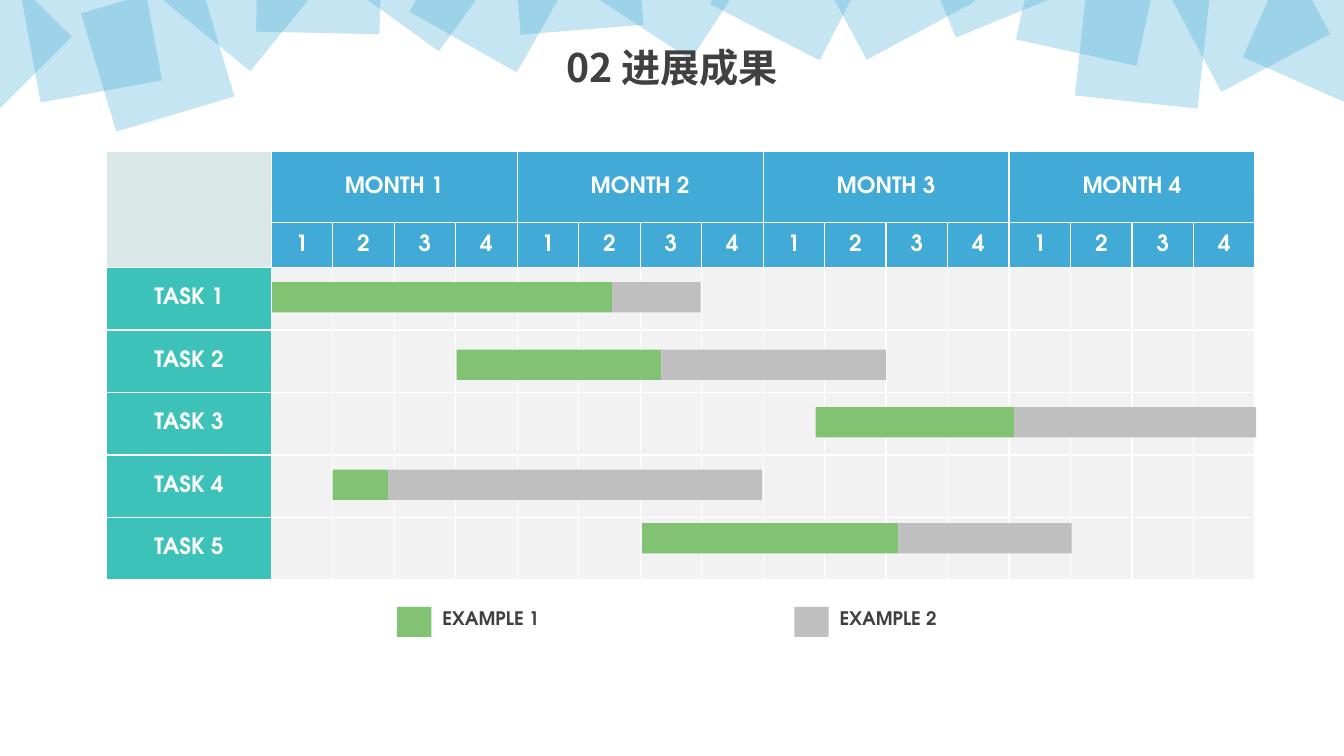
"""Build a four-month progress slide with a task schedule."""
import lxml.etree
import pptx
import pptx.dml.color
import pptx.enum.shapes
import pptx.enum.text
import pptx.oxml.ns
import pptx.util

TITLE = "02 进展成果"
MONTHS = ["MONTH 1", "MONTH 2", "MONTH 3", "MONTH 4"]
WEEKS = ["1", "2", "3", "4"]
TASKS = [
    ("TASK 1", 280, 270, 607, 695),
    ("TASK 2", 347, 453, 656, 879),
    ("TASK 3", 404, 809, 1006, 1246),
    ("TASK 4", 466, 330, 385, 756),
    ("TASK 5", 519, 637, 891, 1063),
]
BLUE, TEAL, PALE, CELL = "41AAD7", "3CC2B8", "DAE8E7", "F2F2F2"
GREEN, GREY, DARK, WHITE = "81C373", "BFBFBF", "404040", "FFFFFF"
LEGEND = [("EXAMPLE 1", 394, GREEN), ("EXAMPLE 2", 788, GREY)]
TILES = [
    (70, -32, 28.4), (3, -56, 304.6), (153, -102, 354.2), (-102, -50, 270),
    (403, -98, 74.5), (335, -121, 350.8), (486, -118, 40.4), (230, -115, 316.2),
    (1047, -46, 51.1), (994, -94, 327.4), (1150, -78, 16.9), (895, -129, 292.7),
    (1227, -61, 338.9), (798, -110, 286.7), (700, -109, 252.1), (581, -112, 258.2),
]
TILE, BAR = 173, 30
LEFT, TOP, SIDE, WEEK = 106, 150, 163, 61
ROWS = [71, 42] + [62] * len(TASKS)
LATIN, CJK = "TeX Gyre Adventor", "Noto Sans CJK SC"
SCALE = 9144

qn = pptx.oxml.ns.qn
Pt = pptx.util.Pt
KIND = pptx.enum.shapes.MSO_SHAPE
ALIGN = pptx.enum.text.PP_ALIGN
ANCHOR = pptx.enum.text.MSO_ANCHOR
FIT = pptx.enum.text.MSO_AUTO_SIZE


def px(*nums):
    return [pptx.util.Emu(num * SCALE) for num in nums]


def rgb(code):
    return pptx.dml.color.RGBColor.from_string(code)


def paint(item, code):
    item.fill.solid()
    item.fill.fore_color.rgb = rgb(code)


def write(frame, text, size, code, face=LATIN, align=None):
    frame.text = text
    para = frame.paragraphs[0]
    para.alignment = align
    font = para.runs[0].font
    font.size, font.bold, font.name = Pt(size), True, face
    font.color.rgb = rgb(code)
    return para


def shape(slide, kind, box, code):
    item = slide.shapes.add_shape(kind, *px(*box))
    item.shadow.inherit = False
    item.line.fill.background()
    paint(item, code)
    return item


def tiles(slide):
    for x, y, turn in TILES:
        item = shape(slide, KIND.DIAMOND, (x, y, TILE, TILE), BLUE)
        item.rotation = turn
        tint = item._element.spPr.find(".//" + qn("a:srgbClr"))
        lxml.etree.SubElement(tint, qn("a:alpha"), val="30000")


def heading(slide):
    title = slide.shapes.title
    slide.shapes._spTree.append(title._element)
    title.left, title.top, title.width, title.height = px(472, 45, 389, 48)
    frame = title.text_frame
    frame.auto_size = FIT.NONE
    frame.vertical_anchor = ANCHOR.MIDDLE
    para = write(frame, TITLE, 28, DARK, CJK, ALIGN.CENTER)
    para.line_spacing, para.space_before = 0.9, Pt(10)
    props = para.runs[0].font._element
    lxml.etree.SubElement(props, qn("a:ea"), typeface=CJK)


def edges(cell):
    props = cell._tc.get_or_add_tcPr()
    for spot, side in enumerate(["lnL", "lnR", "lnT", "lnB"]):
        line = lxml.etree.Element(qn("a:" + side), w=str(Pt(1)))
        fill = lxml.etree.SubElement(line, qn("a:solidFill"))
        lxml.etree.SubElement(fill, qn("a:srgbClr"), val=WHITE)
        props.insert(spot, line)


def style(cell, text, code):
    paint(cell, code)
    edges(cell)
    cell.vertical_anchor = ANCHOR.MIDDLE
    cell.margin_left, cell.margin_right = px(13, 13)
    cell.margin_top, cell.margin_bottom = px(7, 7)
    if text:
        write(cell.text_frame, text, 16, WHITE, align=ALIGN.CENTER)


def grid(slide):
    span = len(WEEKS)
    count = len(MONTHS) * span
    wide = [SIDE] + [WEEK] * count
    months = [part for name in MONTHS for part in [name] + [""] * (span - 1)]
    lines = [[("", PALE)] + [(name, BLUE) for name in months],
             [("", PALE)] + [(week, BLUE) for week in WEEKS * len(MONTHS)]]
    lines += [[(task[0], TEAL)] + [("", CELL)] * count for task in TASKS]
    box = px(LEFT, TOP, sum(wide), sum(ROWS))
    table = slide.shapes.add_table(len(ROWS), len(wide), *box).table
    table.first_row = table.horz_banding = False
    for col, width in zip(table.columns, px(*wide)):
        col.width = width
    for row, height in zip(table.rows, px(*ROWS)):
        row.height = height
    for r, line in enumerate(lines):
        for c, (text, code) in enumerate(line):
            style(table.cell(r, c), text, code)
    table.cell(0, 0).merge(table.cell(1, 0))
    for c in range(1, count, span):
        table.cell(0, c).merge(table.cell(0, c + span - 1))


def legend(slide):
    for text, x, code in LEGEND:
        shape(slide, KIND.RECTANGLE, (x, 602, 34, BAR), code)
        frame = slide.shapes.add_textbox(*px(x + 35, 597, 155, 33)).text_frame
        frame.word_wrap = True
        frame.auto_size = FIT.SHAPE_TO_FIT_TEXT
        write(frame, text, 13.3, DARK)


def bars(slide):
    for _, y, start, split, end in TASKS:
        for x, stop, code in [(start, split, GREEN), (split, end, GREY)]:
            shape(slide, KIND.RECTANGLE, (x, y, stop - x, BAR), code)


def main():
    deck = pptx.Presentation()
    deck.slide_width, deck.slide_height = px(1333, 750)
    slide = deck.slides.add_slide(deck.slide_layouts[5])
    for draw in [tiles, heading, grid, legend, bars]:
        draw(slide)
    deck.save("out.pptx")


if __name__ == "__main__":
    main()
